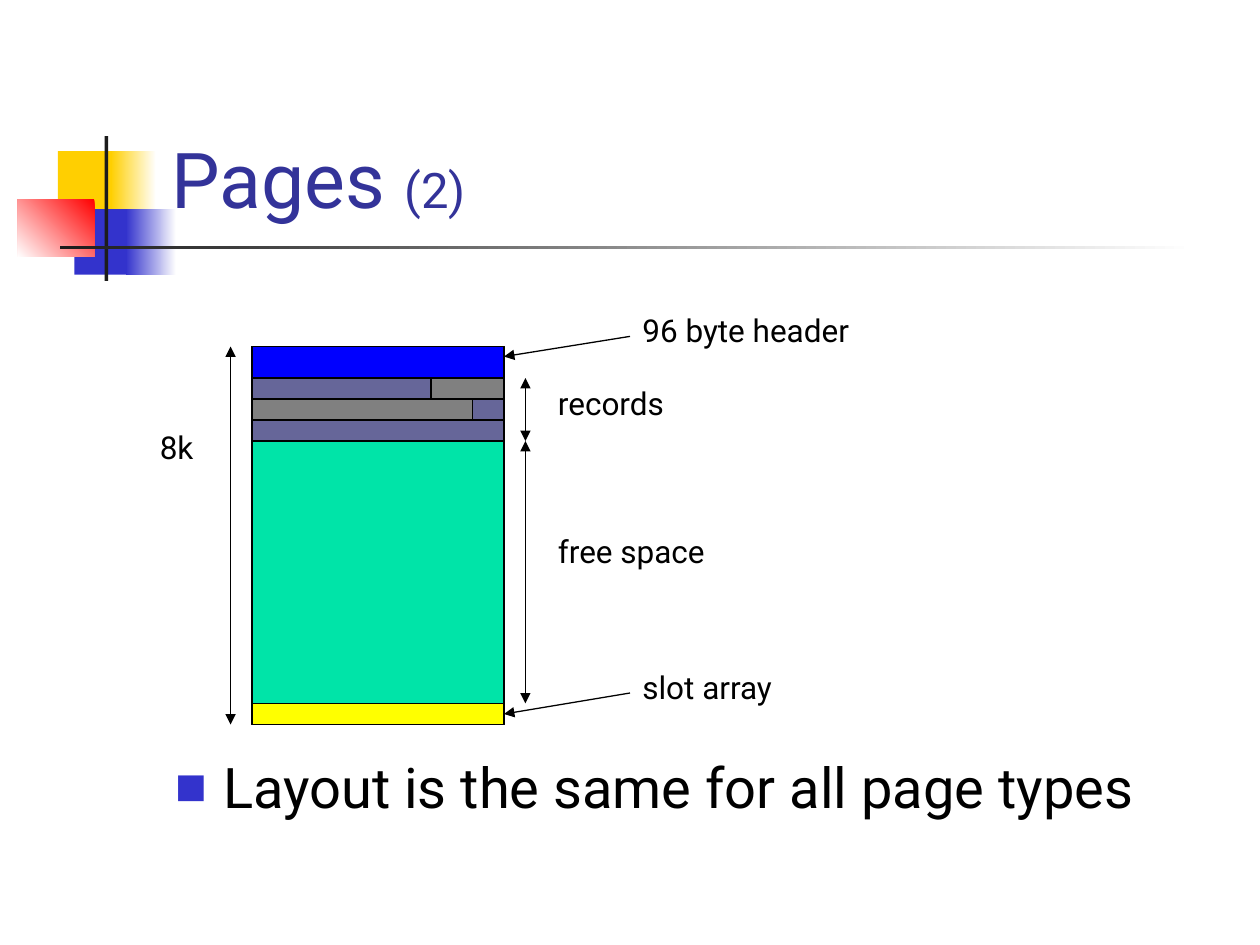
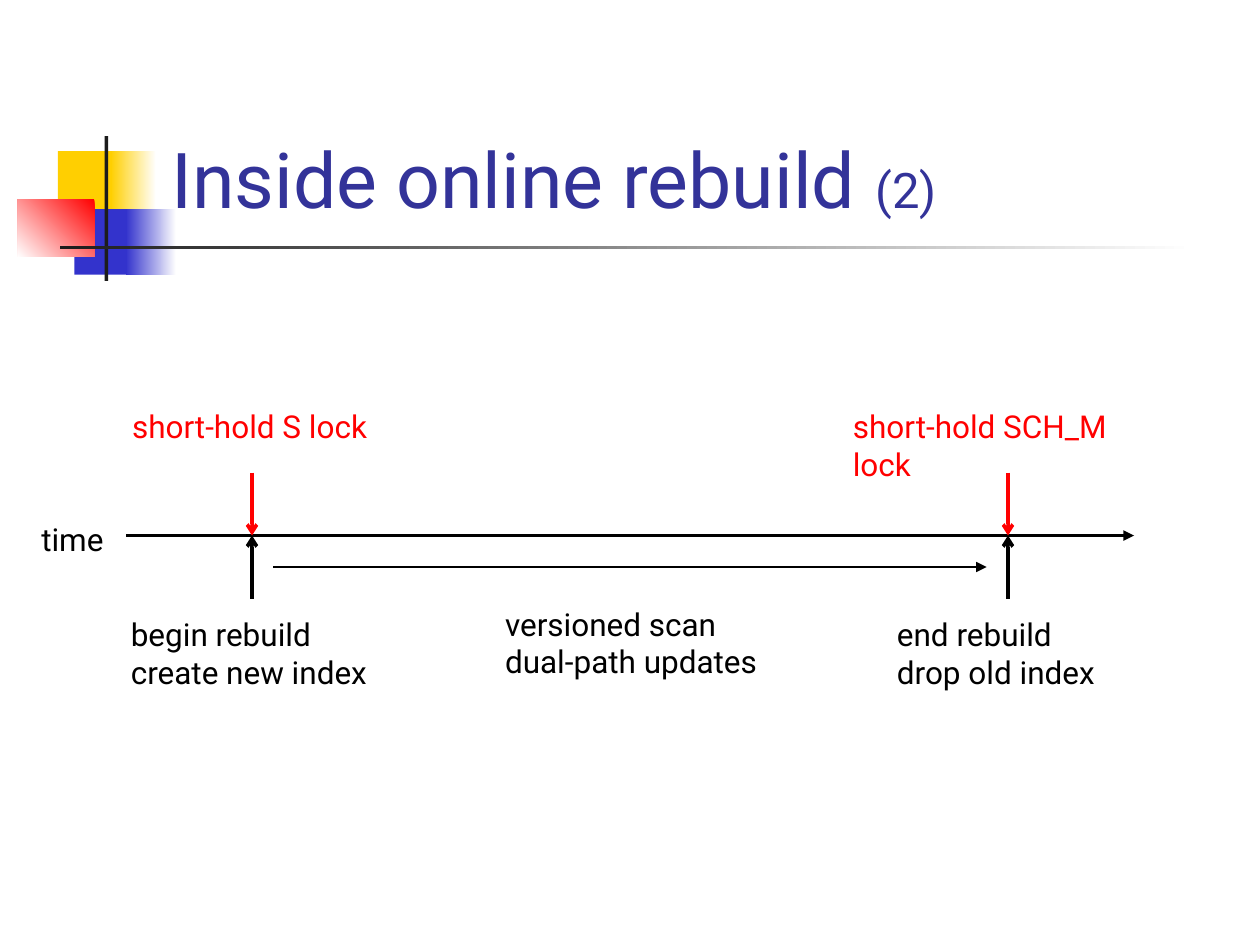
from dataclasses import dataclass

from lxml import etree
from pptx import Presentation
from pptx.dml.color import RGBColor
from pptx.enum import shapes, text
from pptx.oxml import ns
from pptx.util import Inches, Pt


@dataclass(frozen=True)
class Theme:
    font: str = "Roboto"
    title_size: int = 44
    part_size: int = 28
    body_size: int = 32
    label_size: int = 18
    thin: float = 0.75
    thick: float = 2
    title: str = "333399"
    ink: str = "000000"
    white: str = "FFFFFF"
    gold: str = "FFCF01"
    blue: str = "3333CC"
    red: str = "FF0000"
    rule: str = "1C1C1C"
    header: str = "0000FF"
    free: str = "00E4A8"
    slots: str = "FFFF00"
    record: str = "666699"
    other_record: str = "808080"


THEME = Theme()
TITLE_AT = (1.26, 0.23, 8.52, 1.6)
BODY_AT = (1.29, 5.92, 8.5, 0.79)


def rgb(colour):
    return RGBColor.from_string(colour)


def set_all(target, **values):
    for name, value in values.items():
        setattr(target, name, value)


def place(item, left, top, width, height):
    set_all(item, left=Inches(left), top=Inches(top),
            width=Inches(width), height=Inches(height))


def add_xml(parent, tag, **attributes):
    return etree.SubElement(parent, ns.qn(tag), attributes)


def add_span(para, words, size, colour=THEME.ink):
    span = para.add_run()
    span.text = words
    set_all(span.font, name=THEME.font, size=Pt(size))
    span.font.color.rgb = rgb(colour)


def add_box(page, at, fill, outlined=False):
    """Draw a rectangle; fill is a colour, or (start, end, angle) for a gradient."""
    box = page.shapes.add_shape(shapes.MSO_SHAPE.RECTANGLE, *map(Inches, at))
    box.shadow.inherit = False
    if isinstance(fill, tuple):
        *colours, angle = fill
        box.fill.gradient()
        box.fill.gradient_angle = angle
        for stop, colour in zip(box.fill.gradient_stops, colours):
            stop.color.rgb = rgb(colour)
    else:
        box.fill.solid()
        box.fill.fore_color.rgb = rgb(fill)
    if outlined:
        box.line.color.rgb = rgb(THEME.ink)
        box.line.width = Pt(THEME.thin)
    else:
        box.line.fill.background()
    return box


def add_arrow(page, start, end, head=None, tail="triangle",
              colour=THEME.ink, width=THEME.thin):
    """Draw a line; head is the arrowhead at its start, tail the one at its end."""
    arrow = page.shapes.add_connector(
        shapes.MSO_CONNECTOR.STRAIGHT, *map(Inches, (*start, *end)))
    arrow.line.color.rgb = rgb(colour)
    arrow.line.width = Pt(width)
    outline = arrow.line._get_or_add_ln()
    for tag, kind in (("a:headEnd", head), ("a:tailEnd", tail)):
        if kind:
            add_xml(outline, tag, type=kind)
    add_xml(arrow._element.spPr, "a:effectLst")
    return arrow


def add_label(page, at, *lines, colour=THEME.ink, wrap=True):
    frame = page.shapes.add_textbox(*map(Inches, at)).text_frame
    set_all(frame, word_wrap=wrap, auto_size=text.MSO_AUTO_SIZE.SHAPE_TO_FIT_TEXT)
    for index, words in enumerate(lines):
        para = frame.add_paragraph() if index else frame.paragraphs[0]
        add_span(para, words, THEME.label_size, colour)


def add_ornament(page):
    """Draw the coloured blocks and the crossing rules beside the title."""
    for at, fill in (
        ((0.46, 1.2, 0.48, 0.52), THEME.gold),
        ((0.88, 1.2, 0.36, 0.52), (THEME.white, THEME.gold, 180)),
        ((0.59, 1.66, 0.46, 0.52), THEME.blue),
        ((1, 1.66, 0.4, 0.52), (THEME.white, THEME.blue, 180)),
        ((0.14, 1.58, 0.61, 0.46), (THEME.red, THEME.white, 225)),
        ((0.83, 1.08, 0.03, 1.15), THEME.rule),
        ((0.48, 1.95, 9, 0.03), (THEME.white, THEME.rule, 180)),
    ):
        add_box(page, at, fill)


def add_page(deck, layout_name, title, part):
    page = deck.slides.add_slide(deck.slide_layouts.get_by_name(layout_name))
    add_ornament(page)
    place(page.shapes.title, *TITLE_AT)
    frame = page.shapes.title.text_frame
    set_all(frame, vertical_anchor=text.MSO_ANCHOR.BOTTOM, word_wrap=True,
            auto_size=text.MSO_AUTO_SIZE.NONE)
    para = frame.paragraphs[0]
    para.alignment = text.PP_ALIGN.LEFT
    add_span(para, title + " ", THEME.title_size, THEME.title)
    add_span(para, part, THEME.part_size, THEME.title)
    return page


def fill_body(page, words):
    body = page.placeholders[1]
    place(body, *BODY_AT)
    body.text_frame.auto_size = text.MSO_AUTO_SIZE.NONE
    para = body.text_frame.paragraphs[0]
    para.space_before = Pt(8)
    add_span(para, words, THEME.body_size)
    style = para._p.get_or_add_pPr()
    indent = Inches(0.38)
    style.set("marL", str(indent))
    style.set("indent", str(-indent))
    add_xml(add_xml(style, "a:buClr"), "a:srgbClr", val=THEME.blue)
    add_xml(style, "a:buSzPct", val="60000")
    add_xml(style, "a:buFont", typeface=THEME.font)
    add_xml(style, "a:buChar", char="■")


def build_page_layout(deck):
    page = add_page(deck, "Title and Content", "Pages", "(2)")
    fill_body(page, "Layout is the same for all page types")

    left, right, top, bottom = 2, 4, 2.75, 5.75
    width, row = right - left, 1 / 6
    records_top = top + 0.25
    free_top = records_top + 3 * row
    slots_top = bottom - row

    add_box(page, (left, top, width, bottom - top), THEME.free, outlined=True)
    add_box(page, (left, top, width, records_top - top), THEME.header, outlined=True)
    slots = add_box(page, (left, slots_top, width, row), THEME.slots, outlined=True)

    record_rows = (
        ((1.42, THEME.record), (0.58, THEME.other_record)),
        ((1.75, THEME.other_record), (0.25, THEME.record)),
        ((width, THEME.record),),
    )
    for index, records in enumerate(record_rows):
        x = left
        for length, colour in records:
            add_box(page, (x, records_top + index * row, length, row),
                    colour, outlined=True)
            x += length

    for x, start, end in ((1.83, top, bottom),
                          (4.17, records_top, free_top),
                          (4.17, free_top, slots_top)):
        add_arrow(page, (x, start), (x, end), head="triangle")

    add_arrow(page, (5, 2.67), (right, 2.83))
    slots_arrow = add_arrow(page, (5, 5.5), (right, 5.67))
    slots_arrow.end_connect(slots, 3)

    for x, y, length, words in ((1.17, 3.35, 0.5, "8k"),
                                (5, 2.42, 2, "96 byte header"),
                                (4.33, 3, 1.75, "records"),
                                (4.33, 4.17, 2.25, "free space"),
                                (5, 5.25, 1.5, "slot array")):
        add_label(page, (x, y, length, 0.4), words)


def build_rebuild_timeline(deck):
    page = add_page(deck, "Title Only", "Inside online rebuild", "(2)")
    axis, reach = 4.25, 0.5
    add_arrow(page, (1, axis), (9, axis), width=THEME.thick)
    add_arrow(page, (2.17, 4.5), (7.83, 4.5))
    for x in (2, 8):
        for start, colour in ((axis - reach, THEME.red), (axis + reach, THEME.ink)):
            add_arrow(page, (x, start), (x, axis), tail="arrow",
                      colour=colour, width=THEME.thick)

    add_label(page, (0.23, 4.08, 0.73, 0.4), "time", wrap=False)
    add_label(page, (0.95, 3.18, 2.16, 0.4), "short-hold S lock",
              colour=THEME.red, wrap=False)
    add_label(page, (6.67, 3.18, 2.72, 0.7), "short-hold SCH_M lock",
              colour=THEME.red)
    for at, lines in (
        ((0.94, 4.83, 2.2, 0.7), ("begin rebuild", "create new index")),
        ((3.91, 4.75, 2.35, 0.7), ("versioned scan", "dual-path updates")),
        ((7.02, 4.83, 1.91, 0.7), ("end rebuild", "drop old index")),
    ):
        add_label(page, at, *lines, wrap=False)


def main():
    deck = Presentation()
    set_all(deck, slide_width=Inches(10), slide_height=Inches(7.5))
    build_page_layout(deck)
    build_rebuild_timeline(deck)
    deck.save("out.pptx")


if __name__ == "__main__":
    main()
